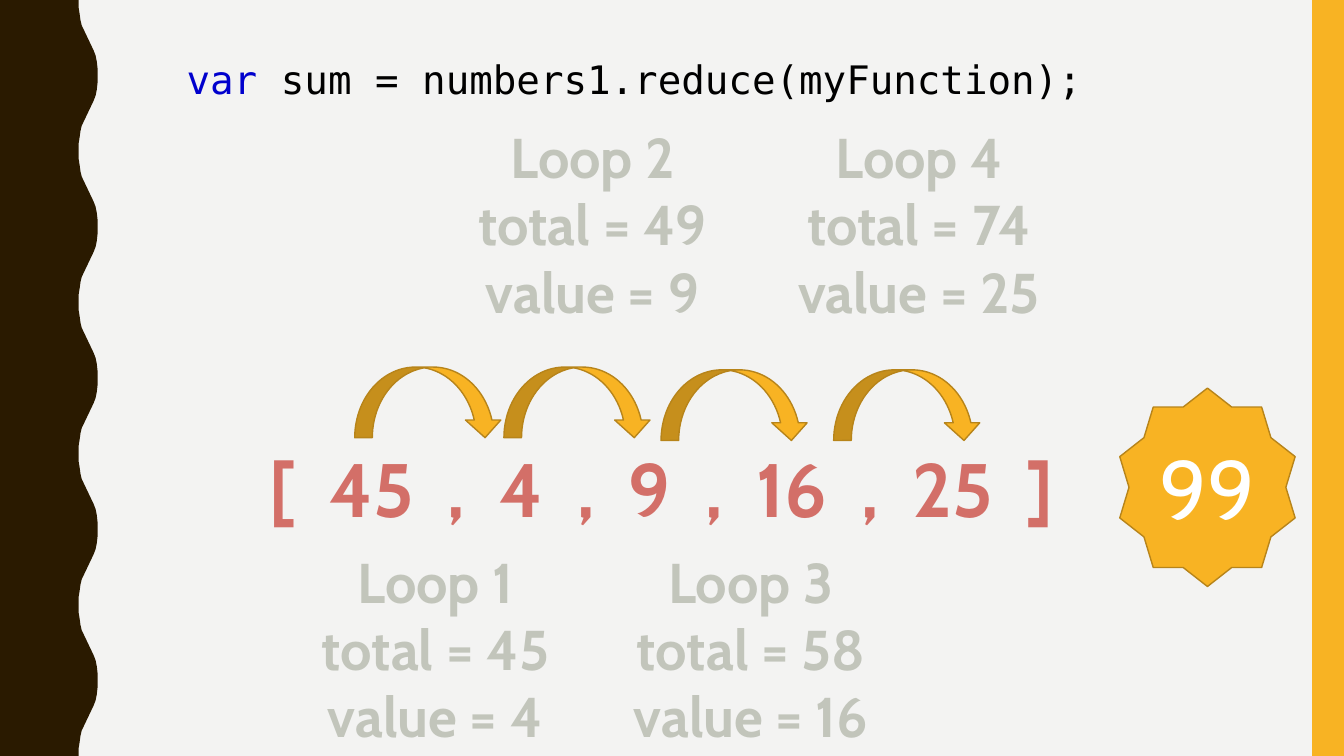
from pptx import Presentation
from pptx.dml.color import RGBColor
from pptx.enum.shapes import MSO_SHAPE
from pptx.enum.text import MSO_ANCHOR, MSO_AUTO_SIZE, PP_ALIGN
from pptx.util import Cm, Pt

ARROW, STAR, RECT = (MSO_SHAPE.CURVED_DOWN_ARROW, MSO_SHAPE.STAR_10_POINT,
                     MSO_SHAPE.RECTANGLE)
TOP, MIDDLE = MSO_ANCHOR.TOP, MSO_ANCHOR.MIDDLE
LEFT, CENTER = PP_ALIGN.LEFT, PP_ALIGN.CENTER
FIXED = MSO_AUTO_SIZE.NONE

PAPER = RGBColor(0xF3, 0xF3, 0xF2)
BROWN = RGBColor(0x2A, 0x1A, 0x00)
GOLD = RGBColor(0xF8, 0xB3, 0x23)
EDGE = RGBColor(0xB7, 0x84, 0x1A)
RED = RGBColor(0xD3, 0x6F, 0x68)
GREY = RGBColor(0xC2, 0xC5, 0xBB)
BLUE = RGBColor(0x00, 0x00, 0xCD)
BLACK = RGBColor(0x00, 0x00, 0x00)
WHITE = RGBColor(0xFF, 0xFF, 0xFF)

CODE = {"name": "DejaVu Sans Mono", "size": Pt(28), "bold": False}
ARRAY = {"name": "Cabin", "size": Pt(54), "bold": True}
LOOP = {"name": "Cabin", "size": Pt(40), "bold": True}
RESULT = {"name": "Cabin", "size": Pt(60), "bold": False}

HEIGHT = 19.05
WAVE = 3.81
# Half a wave, as (distance down, distance across)
CURVE = [(0, 1.98), (0.18, 1.98), (0.36, 2.01), (0.51, 2.03), (0.64, 2.06),
         (1.27, 2.36), (1.4, 2.41), (1.55, 2.44), (1.73, 2.46)]

# Left, top, width, total, value
LOOPS = [(7.54, 13.67, 6.86, 45, 4), (11.51, 2.97, 6.86, 49, 9),
         (15.32, 13.67, 7.21, 58, 16), (19.56, 2.97, 7.21, 74, 25)]
ARROWS = [(8.94, 9.25), (12.7, 9.25), (16.66, 9.32), (21.01, 9.32)]


def paint(shape, fill, edge=None):
    shape.shadow.inherit = False
    shape.fill.solid()
    shape.fill.fore_color.rgb = fill
    if edge is None:
        shape.line.fill.background()
    else:
        shape.line.color.rgb = edge
        shape.line.width = Pt(1)


def add_form(slide, kind, box, fill, edge=None):
    shape = slide.shapes.add_shape(kind, *map(Cm, box))
    paint(shape, fill, edge)
    return shape


def write(shape, lines, style, align=CENTER, anchor=TOP):
    """Fill a shape with lines, each a list of (text, colour) runs."""
    frame = shape.text_frame
    layout = {"word_wrap": True, "auto_size": FIXED, "vertical_anchor": anchor}
    for key, value in layout.items():
        setattr(frame, key, value)
    for index, line in enumerate(lines):
        para = frame.add_paragraph() if index else frame.paragraphs[0]
        para.alignment = align
        for text, color in line:
            run = para.add_run()
            run.text = text
            for key, value in style.items():
                setattr(run.font, key, value)
            run.font.color.rgb = color


def add_text(slide, box, lines, style):
    write(slide.shapes.add_textbox(*map(Cm, box)), lines, style)


def add_wave(slide):
    """Draw the wavy band down the left side."""
    cycle = CURVE + [(WAVE / 2, 2.46)]
    cycle += [(WAVE - y, x) for y, x in reversed(CURVE)]
    points = [(Cm(x), Cm(y + WAVE * turn))
              for turn in range(5) for y, x in cycle]
    pen = slide.shapes.build_freeform(0, 0)
    pen.add_line_segments(points + [(0, Cm(HEIGHT))], close=True)
    paint(pen.convert_to_shape(), BROWN)


def add_title(slide):
    title = slide.shapes.title
    place = {"left": 4.45, "top": 1.27, "width": 23.77, "height": 1.45}
    for key, value in place.items():
        setattr(title, key, Cm(value))
    line = [("var", BLUE), (" sum = numbers1.reduce(myFunction);", BLACK)]
    write(title, [line], CODE, LEFT)


def main():
    deck = Presentation()
    deck.slide_width, deck.slide_height = Cm(33.87), Cm(HEIGHT)
    slide = deck.slides.add_slide(deck.slide_layouts[5])
    slide.background.fill.solid()
    slide.background.fill.fore_color.rgb = PAPER

    add_wave(slide)
    add_form(slide, RECT, (33.07, 0, 0.8, HEIGHT), GOLD)
    add_title(slide)
    add_text(slide, (5.33, 11, 22.68, 2.57),
             [[("[  45  ,  4  ,  9  ,  16  ,  25  ]", RED)]], ARRAY)
    for left, top in ARROWS:
        add_form(slide, ARROW, (left, top, 3.73, 1.78), GOLD, EDGE)
    for number, (left, top, width, total, value) in enumerate(LOOPS, 1):
        lines = (f"Loop {number}", f"total = {total}", f"value = {value}")
        add_text(slide, (left, top, width, 5.38),
                 [[(line, GREY)] for line in lines], LOOP)
    star = add_form(slide, STAR, (28.22, 9.78, 4.42, 5), GOLD, EDGE)
    write(star, [[("99", WHITE)]], RESULT, anchor=MIDDLE)

    deck.save("out.pptx")


if __name__ == "__main__":
    main()
